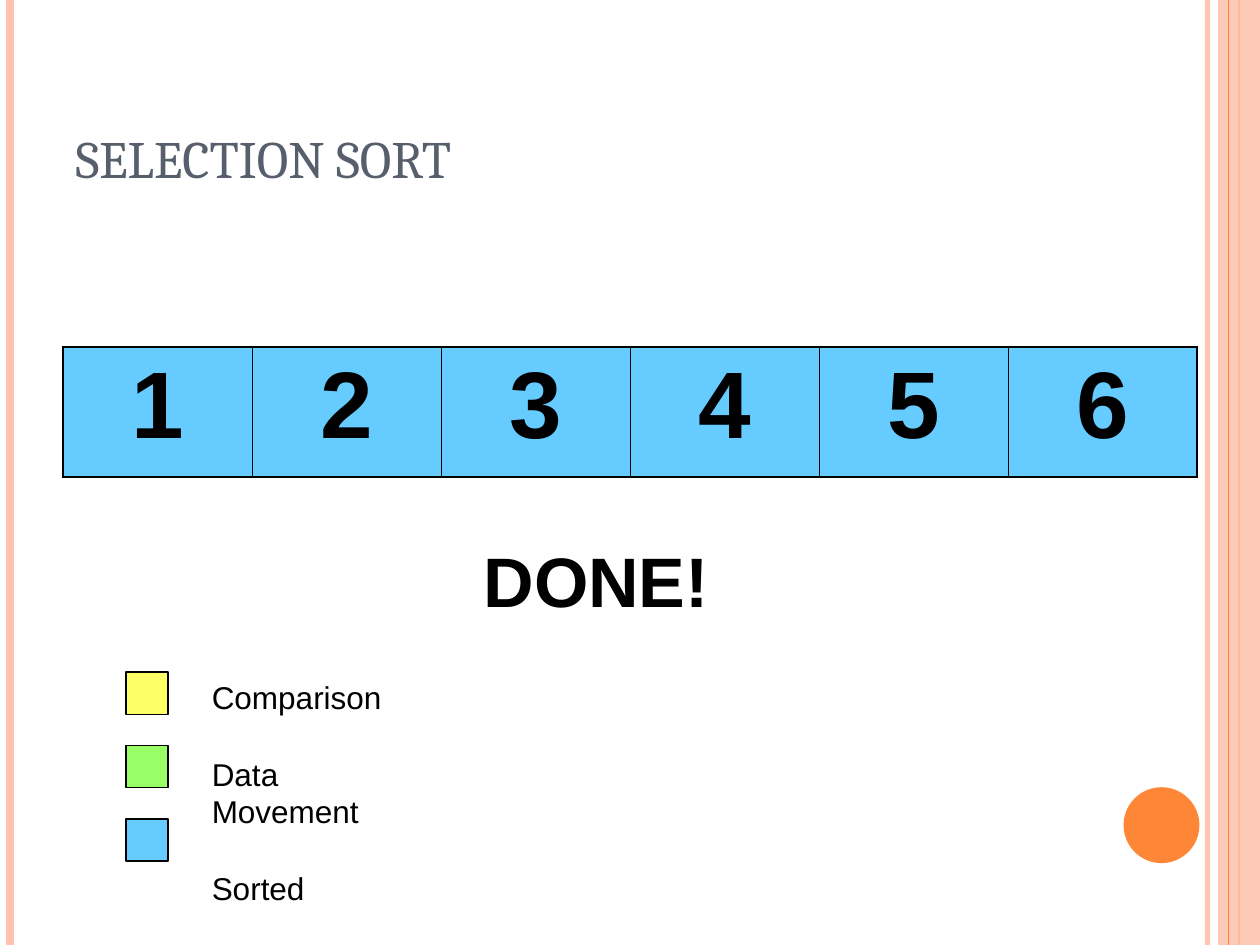
from lxml import etree
from pptx import Presentation
from pptx.dml.color import RGBColor
from pptx.enum import shapes, text
from pptx.oxml.ns import qn
from pptx.util import Cm, Pt

COLORS = {
    "peach": "FEC3AE", "orange": "FE8637", "slate": "575F6D", "black": "000000",
    "comparison": "FFFF66", "movement": "99FF66", "sorted": "66CCFF",
}
SLIDE_W, SLIDE_H = 25.4, 19.05


def rgb(name):
    return RGBColor.from_string(COLORS[name])


def cm(*lengths):
    return [Cm(length) for length in lengths]


def write(frame, lines, size, font="Arial", color="black", bold=False,
          align=text.PP_ALIGN.LEFT, gap=0):
    """Put one paragraph per line in a text frame; gap separates paragraphs."""
    for i, line in enumerate(lines):
        paragraph = frame.paragraphs[0] if i == 0 else frame.add_paragraph()
        paragraph.alignment = align
        paragraph.space_before = Pt(gap if i else 0)
        run = paragraph.add_run()
        run.text = line
        run.font.size, run.font.name, run.font.bold = Pt(size), font, bold
        run.font.color.rgb = rgb(color)


def set_opacity(part, percent):
    for color in part._element.spPr.iter(qn("a:srgbClr")):
        etree.SubElement(color, qn("a:alpha")).set("val", str(percent * 1000))


def add_shape(slide, kind, box, fill, line_width=None):
    shape = slide.shapes.add_shape(kind, *cm(*box))
    shape.shadow.inherit = False
    shape.fill.solid()
    shape.fill.fore_color.rgb = rgb(fill)
    if line_width:
        shape.line.color.rgb = rgb("black")
        shape.line.width = Pt(line_width)
    else:
        shape.line.fill.background()
    return shape


def add_text(slide, box, lines, **style):
    frame = slide.shapes.add_textbox(*cm(*box)).text_frame
    frame.word_wrap = False
    write(frame, lines, **style)


def add_stripe(slide, x, top, height, color, width):
    stripe = slide.shapes.add_connector(
        shapes.MSO_CONNECTOR.STRAIGHT, *cm(x, top, x, top + height))
    stripe.line.color.rgb = rgb(color)
    stripe.line.width = Pt(width)
    etree.SubElement(stripe._element.spPr, qn("a:effectLst"))
    return stripe


def add_frame(slide, box):
    """Stripes along both edges and the disc at lower right."""
    left, top, width, height = box
    right = left + width
    set_opacity(add_stripe(slide, right - 1.06, top, height, "peach", 3), 93)
    add_stripe(slide, left + 0.2, top, height, "peach", 4.5)
    add_stripe(slide, right - 0.42, top, height, "orange", 1.5)
    band = add_shape(slide, shapes.MSO_SHAPE.RECTANGLE,
                     (right - 0.85, top, 0.85, height), "peach")
    set_opacity(band, 87)
    add_stripe(slide, right - 0.64, top, height, "orange", 0.75)
    add_shape(slide, shapes.MSO_SHAPE.OVAL,
              (right - 2.75, top + 15.87, 1.53, 1.53), "orange")


def add_title(slide, box, title_text):
    title = slide.shapes.title
    title.left, title.top, title.width, title.height = cm(*box)
    frame = title.text_frame
    frame.auto_size = text.MSO_AUTO_SIZE.NONE
    frame.vertical_anchor = text.MSO_ANCHOR.BOTTOM
    write(frame, [title_text], size=30, font="Cambria", color="slate")


def set_borders(cell, widths):
    properties = cell._tc.get_or_add_tcPr()
    for side, width in widths.items():
        line = etree.SubElement(properties, qn(f"a:ln{side}"), w=str(Pt(width)))
        fill = etree.SubElement(line, qn("a:solidFill"))
        etree.SubElement(fill, qn("a:srgbClr"), val=COLORS["black"])


def add_array(slide, box, values):
    """One-row table with a heavier outline than its inner rules."""
    outer, inner = 1.08, 0.45
    table = slide.shapes.add_table(1, len(values), *cm(*box)).table
    table.first_row = table.horz_banding = False
    last = len(values) - 1
    for i, value in enumerate(values):
        cell = table.cell(0, i)
        set_borders(cell, {"L": inner if i else outer,
                           "R": inner if i < last else outer,
                           "T": outer, "B": outer})
        cell.fill.solid()
        cell.fill.fore_color.rgb = rgb("sorted")
        write(cell.text_frame, [str(value)], size=54, bold=True,
              align=text.PP_ALIGN.CENTER)


def add_legend(slide, box, entries):
    left, top, width, height = box
    swatch, step = 0.85, 1.48
    for i, color in enumerate(entries.values()):
        add_shape(slide, shapes.MSO_SHAPE.RECTANGLE,
                  (left, top + i * step, swatch, swatch), color, 0.75)
    indent = 1.48
    add_text(slide, (left + indent, top, width - indent, height), entries,
             size=18, gap=22)


def main():
    deck = Presentation()
    deck.slide_width, deck.slide_height = cm(SLIDE_W, SLIDE_H)
    slide = deck.slides.add_slide(deck.slide_layouts[5])

    add_frame(slide, (0, 0, SLIDE_W, SLIDE_H))
    add_title(slide, (1.27, 0.76, 22.86, 3.18), "SELECTION SORT")
    add_array(slide, (1.27, 6.99, 22.86, 2.62), range(1, 7))
    add_legend(slide, (2.54, 13.55, 6.45, 4.06), {
        "Comparison": "comparison", "Data Movement": "movement", "Sorted": "sorted"})
    add_text(slide, (9.5, 10.72, 5.05, 1.96), ["DONE!"], size=40, bold=True)

    deck.save("out.pptx")


if __name__ == "__main__":
    main()
